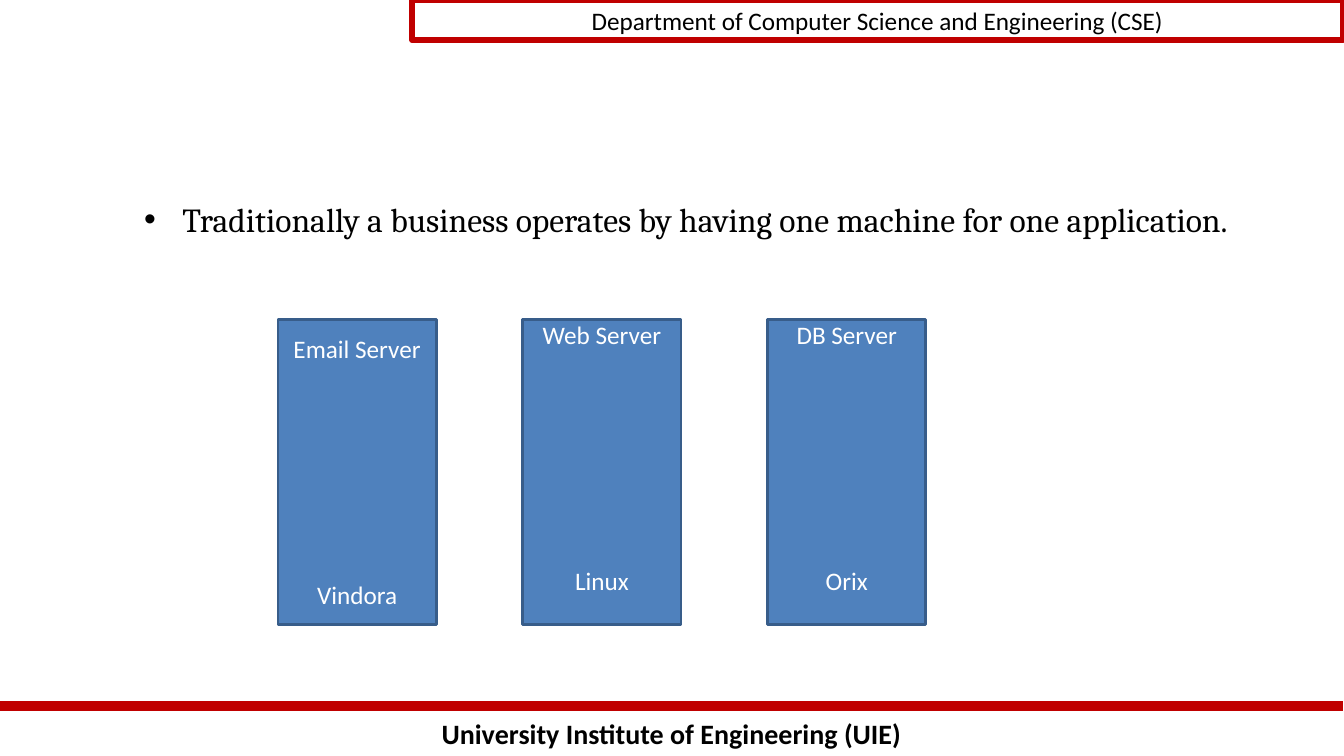
from dataclasses import dataclass

from pptx import Presentation
from pptx.dml.color import RGBColor
from pptx.enum.shapes import MSO_CONNECTOR as Connector, MSO_SHAPE as Shape
from pptx.enum.text import MSO_ANCHOR as Anchor, MSO_AUTO_SIZE as AutoSize, PP_ALIGN as Align
from pptx.oxml.ns import qn
from pptx.util import Emu, Pt
from lxml.etree import SubElement

PX = 9144


@dataclass(frozen=True)
class Theme:
    red: str = "C00000"
    blue: str = "4F81BD"
    navy: str = "385D8A"
    black: str = "000000"
    white: str = "FFFFFF"
    sans: str = "Calibri"
    serif: str = "Cambria"
    label: int = 18
    footer: int = 20
    body: int = 24


THEME = Theme()


def px(*lengths):
    return [Emu(length * PX) for length in lengths]


def write(paragraph, text, *, size=THEME.label, font=THEME.sans, color=THEME.black,
          bold=False, align=Align.CENTER, before=0):
    paragraph.text = text
    paragraph.alignment = align
    paragraph.space_before = Pt(before)
    paragraph.font.size = Pt(size)
    paragraph.font.name = font
    paragraph.font.bold = bold
    paragraph.font.color.rgb = RGBColor.from_string(color)


def add_box(slide, box, line, width, fill=None):
    shape = slide.shapes.add_shape(Shape.RECTANGLE, *px(*box))
    shape.shadow.inherit = False
    if fill:
        shape.fill.solid()
        shape.fill.fore_color.rgb = RGBColor.from_string(fill)
    else:
        shape.fill.background()
    shape.line.color.rgb = RGBColor.from_string(line)
    shape.line.width = Pt(width)
    shape.text_frame.word_wrap = True
    return shape


def add_header(slide, box):
    header = add_box(slide, box, THEME.red, 4)
    header.text_frame.vertical_anchor = Anchor.TOP
    write(header.text_frame.paragraphs[0], "Department of Computer Science and Engineering (CSE)")


def add_footer(slide, box):
    left, top, width, height = box
    rule = slide.shapes.add_connector(Connector.STRAIGHT, *px(left, top, left + width, top))
    rule.line.color.rgb = RGBColor.from_string(THEME.red)
    rule.line.width = Pt(7)
    SubElement(rule._element.spPr, qn("a:effectLst"))
    caption = slide.shapes.add_textbox(*px(left, top + 6, width, height - 6))
    caption.text_frame.word_wrap = True
    write(caption.text_frame.paragraphs[0], "University Institute of Engineering (UIE)",
          size=THEME.footer, bold=True)


def add_statement(slide, box):
    body = slide.placeholders[1]
    body.left, body.top, body.width, body.height = px(*box)
    frame = body.text_frame
    frame.auto_size = AutoSize.NONE
    frame.vertical_anchor = Anchor.TOP
    paragraph = frame.paragraphs[0]
    properties = paragraph._p.get_or_add_pPr()
    properties.set("marL", str(38 * PX))
    properties.set("indent", str(-38 * PX))
    SubElement(properties, qn("a:buFont"), typeface="Arial")
    SubElement(properties, qn("a:buChar"), char="•")
    write(paragraph, "Traditionally a business operates by having one machine for one application.",
          size=THEME.body, font=THEME.serif, align=Align.LEFT)


def add_servers(slide, box):
    left, top, width, height = box
    server_width = 157
    servers = [("Email Server", "Vindora", 14), ("Web Server", "Linux", 0), ("DB Server", "Orix", 0)]
    pitch = (width - server_width) // (len(servers) - 1)
    for index, (role, system, inset) in enumerate(servers):
        server = add_box(slide, (left + index * pitch, top, server_width, height),
                         THEME.navy, 2, THEME.blue)
        frame = server.text_frame
        frame.vertical_anchor = Anchor.TOP
        frame.margin_top = Emu(inset * PX)
        write(frame.paragraphs[0], role, color=THEME.white)
        write(frame.add_paragraph(), system, color=THEME.white, before=154)


def main():
    presentation = Presentation()
    presentation.slide_width, presentation.slide_height = px(1334, 750)
    slide = presentation.slides.add_slide(presentation.slide_layouts[1])
    title = slide.shapes.title._element
    title.getparent().remove(title)
    add_footer(slide, (0, 700, 1333, 50))
    add_header(slide, (409, 0, 924, 40))
    add_statement(slide, (133, 192, 1167, 492))
    add_servers(slide, (276, 317, 644, 303))
    presentation.save("out.pptx")


if __name__ == "__main__":
    main()
